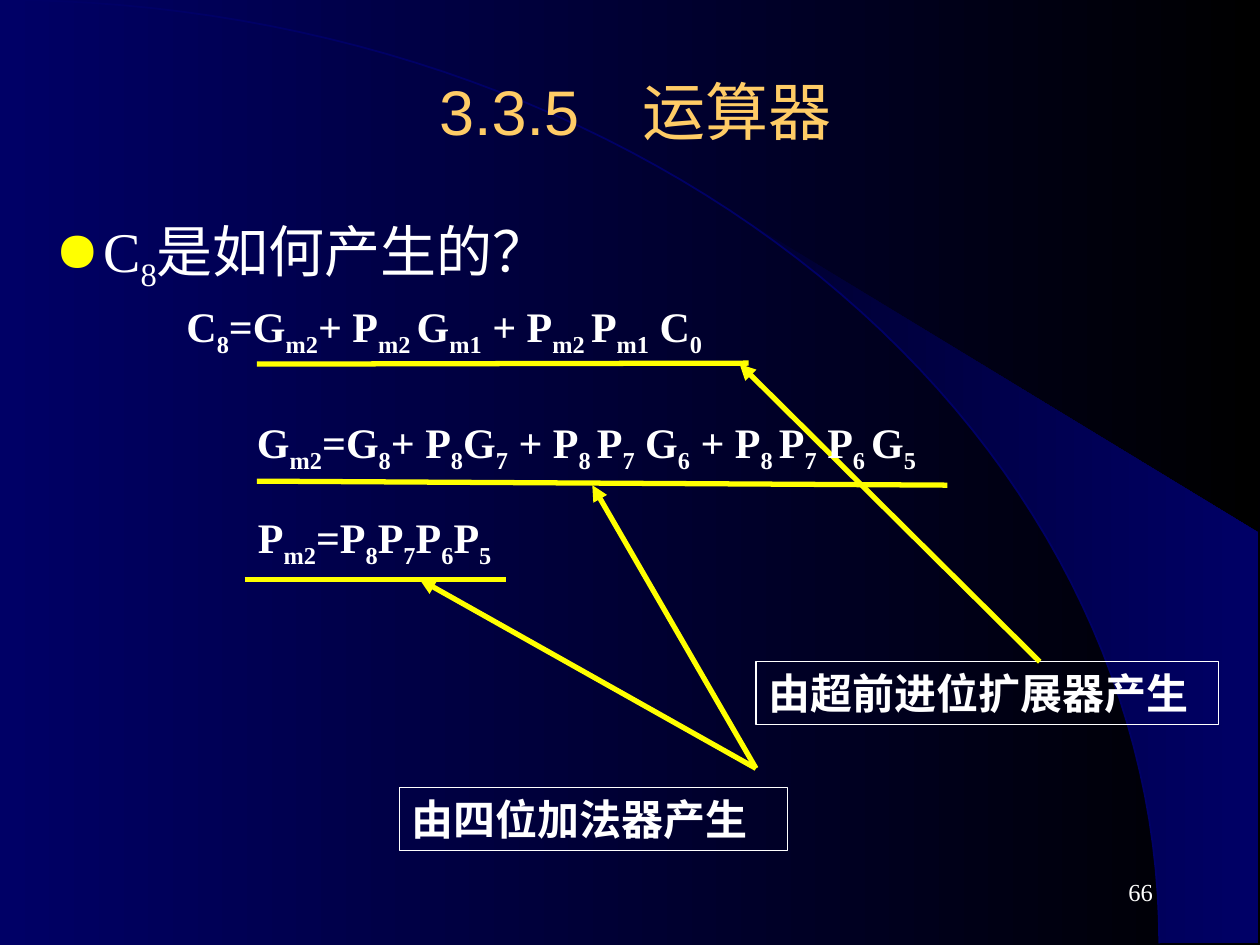
from math import asin, cos, pi, sin
from lxml.etree import SubElement
from pptx import Presentation
from pptx.dml.color import RGBColor
from pptx.enum.shapes import MSO_CONNECTOR as Link, MSO_SHAPE as Kind
from pptx.enum.text import MSO_ANCHOR as Anchor, PP_ALIGN as Align
from pptx.oxml.ns import qn
from pptx.util import Cm, Pt

NAVY = RGBColor(0x00, 0x00, 0x66)
DUSK = RGBColor(0x00, 0x00, 0x2F)
BLACK = RGBColor(0x00, 0x00, 0x00)
WHITE = RGBColor(0xFF, 0xFF, 0xFF)
YELLOW = RGBColor(0xFF, 0xFF, 0x00)
GOLD = RGBColor(0xFF, 0xCC, 0x66)
SERIF = "Times New Roman"
WIDE, HIGH = 25.4, 19.05
ARC_W, ARC_H = 23.37, 19.02


def arc(start, steps=60):
    """Points in cm on the quarter ellipse, from angle start to its foot."""
    turns = [start + (pi / 2 - start) * i / steps for i in range(steps + 1)]
    return [(ARC_W * sin(t), ARC_H * (1 - cos(t))) for t in turns]


def blend(fill, first, last):
    fill.gradient()
    fill.gradient_angle = 0
    for stop, color in zip(fill.gradient_stops, (first, last)):
        stop.color.rgb = color


class Page:
    def __init__(self, slide):
        self.slide = slide
        self.shapes = slide.shapes

    def outline(self, points, close):
        spots = [(Cm(x), Cm(y)) for x, y in points]
        pen = self.shapes.build_freeform(*spots[0])
        pen.add_line_segments(spots[1:], close=close)
        shape = pen.convert_to_shape()
        shape.shadow.inherit = False
        return shape

    def letter(self, shape, text, size, font=SERIF, color=WHITE, bold=False,
               align=Align.LEFT, anchor=Anchor.TOP):
        """Fill a shape with text; every second part between bars is lowered."""
        frame = shape.text_frame
        frame.word_wrap = True
        frame.vertical_anchor = anchor
        para = frame.paragraphs[0]
        para.alignment = align
        for i, part in enumerate(text.split("|")):
            if not part:
                continue
            run = para.add_run()
            run.text = part
            run.font.size = Pt(size)
            run.font.name = font
            run.font.bold = bold
            run.font.color.rgb = color
            if i % 2:
                run._r.get_or_add_rPr().set("baseline", "-25000")
        return para

    def text(self, box, text, size, **style):
        shape = self.shapes.add_textbox(*map(Cm, box))
        return self.letter(shape, text, size, **style)

    def bullet(self, box, text, size):
        para = self.text(box, text, size)
        props = para._p.get_or_add_pPr()
        props.set("marL", str(Cm(0.97)))
        props.set("indent", str(Cm(-0.97)))
        tint = SubElement(props, qn("a:buClr"))
        SubElement(tint, qn("a:srgbClr")).set("val", str(YELLOW))
        SubElement(props, qn("a:buChar")).set("char", "●")

    def label(self, box, text, font):
        shape = self.shapes.add_shape(Kind.RECTANGLE, *map(Cm, box))
        shape.shadow.inherit = False
        shape.fill.background()
        shape.line.color.rgb = WHITE
        shape.line.width = Pt(0.75)
        self.letter(shape, text, 24, font=font, bold=True)

    def line(self, start, end, arrow=False):
        link = self.shapes.add_connector(
            Link.STRAIGHT, *map(Cm, (*start, *end)))
        link.line.color.rgb = YELLOW
        link.line.width = Pt(3)
        if arrow:
            tip = SubElement(link.line._get_or_add_ln(), qn("a:tailEnd"))
            tip.set("type", "triangle")
        SubElement(link._element.spPr, qn("a:effectLst"))


def main():
    deck = Presentation()
    deck.slide_width, deck.slide_height = Cm(WIDE), Cm(HIGH)
    page = Page(deck.slides.add_slide(deck.slide_layouts[6]))
    blend(page.slide.background.fill, NAVY, BLACK)

    wedge = page.outline(
        arc(asin(0.64)) + [(25.37, ARC_H), (25.37, 10.74)], True)
    blend(wedge.fill, DUSK, NAVY)
    wedge.line.fill.background()
    rim = page.outline(arc(0), False)
    rim.fill.background()
    rim.line.color.rgb = NAVY
    rim.line.width = Pt(1)

    page.bullet((0.86, 4.24, 23.93, 12.7), "C|8|是如何产生的？", 32)
    page.text((18.21, 17.35, 5.28, 1.27), "66", 14,
              align=Align.RIGHT, anchor=Anchor.MIDDLE)
    page.text((0.84, 0.64, 23.93, 3.18), "3.3.5　运算器", 36, font="Arial",
              color=GOLD, align=Align.CENTER, anchor=Anchor.MIDDLE)

    page.label((15.24, 13.34, 9.32, 1.27), "由超前进位扩展器产生", "Lato")
    page.label((8.05, 15.88, 7.82, 1.27), "由四位加法器产生", SERIF)

    rules = [((5.18, 7.34), (15.09, 7.32)),
             ((5.18, 9.7), (19.1, 9.78)),
             ((4.93, 11.68), (10.21, 11.68))]
    for start, end in rules:
        page.line(start, end)
    adder = (15.24, 15.49)
    arrows = [((20.96, 13.34), (14.91, 7.34)),
              (adder, (11.94, 9.78)),
              (adder, (8.46, 11.68))]
    for start, end in arrows:
        page.line(start, end, arrow=True)

    sums = [
        (3.51, 5.94, 14.61,
         "C|8|=G|m2|+ P|m2 |G|m1| + P|m2 |P|m1| C|0"),
        (4.93, 8.28, 14.78,
         "G|m2|=G|8|+ P|8|G|7| + P|8 |P|7| G|6| + P|8 |P|7| P|6 |G|5"),
        (4.95, 10.19, 8.2, "P|m2|=P|8|P|7|P|6|P|5"),
    ]
    for left, top, width, text in sums:
        page.text((left, top, width, 1.42), text, 24, bold=True)

    deck.save("out.pptx")


if __name__ == "__main__":
    main()
